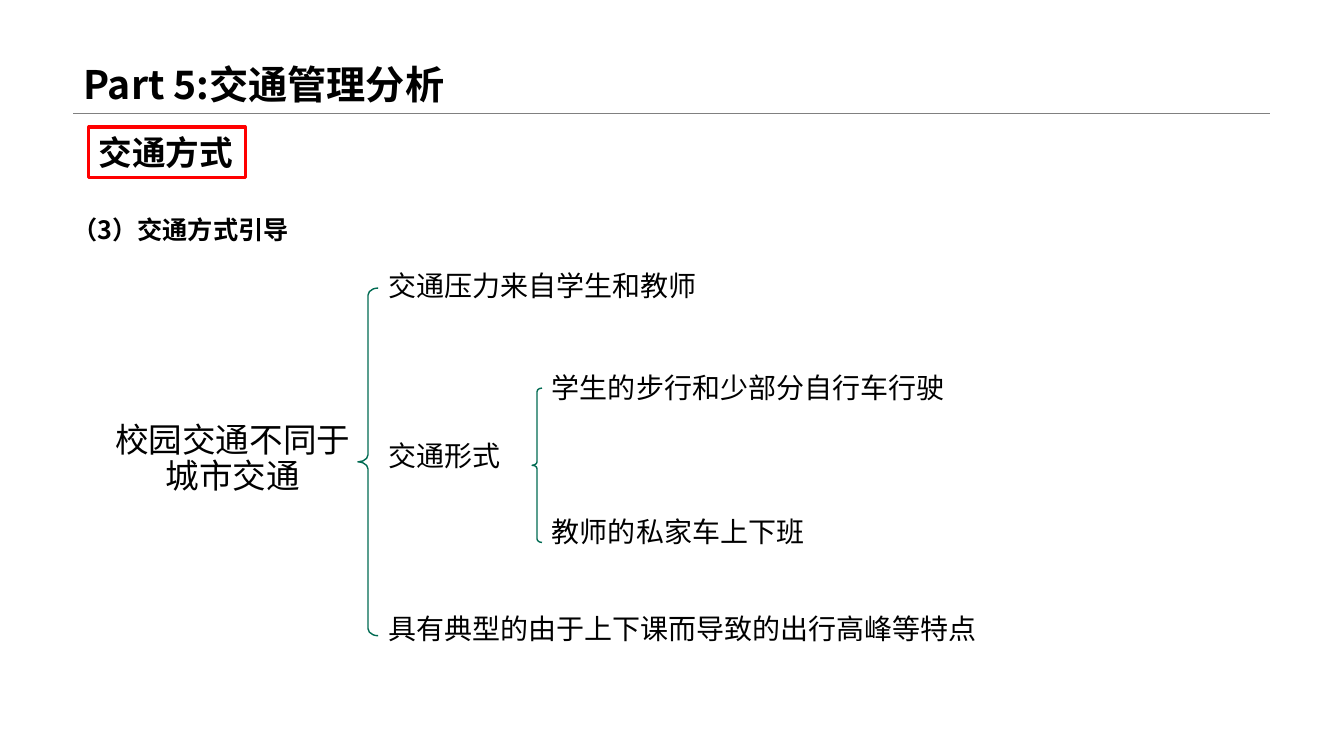
from lxml import etree
from pptx import Presentation
from pptx.dml.color import RGBColor
from pptx.enum.shapes import MSO_CONNECTOR, MSO_SHAPE
from pptx.enum.text import MSO_ANCHOR, MSO_AUTO_SIZE, PP_ALIGN
from pptx.oxml.ns import qn
from pptx.util import Cm, Pt

LEFT, CENTER = PP_ALIGN.LEFT, PP_ALIGN.CENTER
TOP, BOTTOM = MSO_ANCHOR.TOP, MSO_ANCHOR.BOTTOM
NO_FIT = MSO_AUTO_SIZE.NONE
BRACE, RECTANGLE = MSO_SHAPE.LEFT_BRACE, MSO_SHAPE.RECTANGLE
STRAIGHT = MSO_CONNECTOR.STRAIGHT

FONT = "Noto Sans CJK SC"
COLORS = {"text": "000000", "rule": "808080", "brace": "016B52", "frame": "FF0000"}
TITLE_ONLY = 5
LINE_HEIGHT = 1.02


def color(name):
    """Return the named palette colour."""
    return RGBColor.from_string(COLORS[name])


def write_text(shape, text, size, bold=False, align=LEFT, anchor=TOP, spacing=1.0):
    """Fill a shape with one formatted paragraph."""
    frame = shape.text_frame
    frame.text = text
    paragraph = frame.paragraphs[0]
    run = paragraph.runs[0]
    formats = (
        (frame, {"word_wrap": True, "auto_size": NO_FIT, "vertical_anchor": anchor}),
        (paragraph, {"alignment": align, "line_spacing": spacing, "space_before": Pt(0)}),
        (run.font, {"name": FONT, "size": Pt(size), "bold": bold}),
    )
    for target, values in formats:
        for attribute, value in values.items():
            setattr(target, attribute, value)
    run.font.color.rgb = color("text")
    east_asian = etree.SubElement(run.font._element, qn("a:ea"))
    east_asian.set("typeface", FONT)


def add_text(slide, left, top, width, height, text, size, **formats):
    """Add a text box, measured in centimetres."""
    box = slide.shapes.add_textbox(Cm(left), Cm(top), Cm(width), Cm(height))
    write_text(box, text, size, **formats)


def add_outline(slide, kind, left, top, width, height, line_color, line_width):
    """Add an unfilled preset shape and return it."""
    shape = slide.shapes.add_shape(kind, Cm(left), Cm(top), Cm(width), Cm(height))
    shape.shadow.inherit = False
    shape.fill.background()
    shape.line.color.rgb = color(line_color)
    shape.line.width = Pt(line_width)
    return shape


def add_header(slide, left, top, width, height):
    """Place the title above a full-width rule."""
    title = slide.shapes.title
    geometry = {"left": left, "top": top, "width": 9.98, "height": height}
    for attribute, value in geometry.items():
        setattr(title, attribute, Cm(value))
    write_text(title, "Part 5:交通管理分析", 28, bold=True, anchor=BOTTOM, spacing=0.9)
    bottom = Cm(top + height)
    rule = slide.shapes.add_connector(STRAIGHT, Cm(left), bottom, Cm(left + width), bottom)
    rule.line.color.rgb = color("rule")
    rule.line.width = Pt(0.25)
    etree.SubElement(rule._element.spPr, qn("a:effectLst"))


def add_section(slide, left, top):
    """Place the framed section label and its subheading."""
    label = add_outline(slide, RECTANGLE, left + 0.67, top, 3.94, 1.27, "frame", 2.25)
    write_text(label, "交通方式", 24, bold=True)
    add_text(slide, left, top + 2.08, 7.09, LINE_HEIGHT, "（3）交通方式引导", 18, bold=True)


def add_branch(slide, left, top, width, height, items):
    """Place a brace with its items, each given as text, offset and box width."""
    brace = add_outline(slide, BRACE, left, top, width, height, "brace", 1)
    brace.adjustments[0] = 0.35
    for text, offset, item_width in items:
        add_text(slide, left + width, top + offset, item_width, LINE_HEIGHT,
                 text, 20, spacing=0.9)


def add_diagram(slide, left, top):
    """Place the root statement and its two levels of braces."""
    add_text(slide, left, top + 3.28, 6.81, 2.11, "校园交通不同于城市交通", 24,
             align=CENTER, spacing=0.9)
    add_branch(slide, left + 6.56, top, 0.51, 8.76, [
        ("交通压力来自学生和教师", -0.53, 14.4),
        ("交通形式", 3.76, 3.88),
        ("具有典型的由于上下课而导致的出行高峰等特点", 8.13, 19.41),
    ])
    add_branch(slide, left + 10.95, top + 2.52, 0.25, 3.89, [
        ("学生的步行和少部分自行车行驶", -0.46, 12.6),
        ("教师的私家车上下班", 3.15, 10.41),
    ])


def main():
    """Build and save the slide."""
    presentation = Presentation()
    presentation.slide_width = Cm(33.87)
    presentation.slide_height = Cm(19.05)
    slide = presentation.slides.add_slide(presentation.slide_layouts[TITLE_ONLY])
    add_header(slide, 1.85, 0, 30.15, 2.84)
    add_section(slide, 1.57, 3.2)
    add_diagram(slide, 2.46, 7.26)
    presentation.save("out.pptx")


if __name__ == "__main__":
    main()
